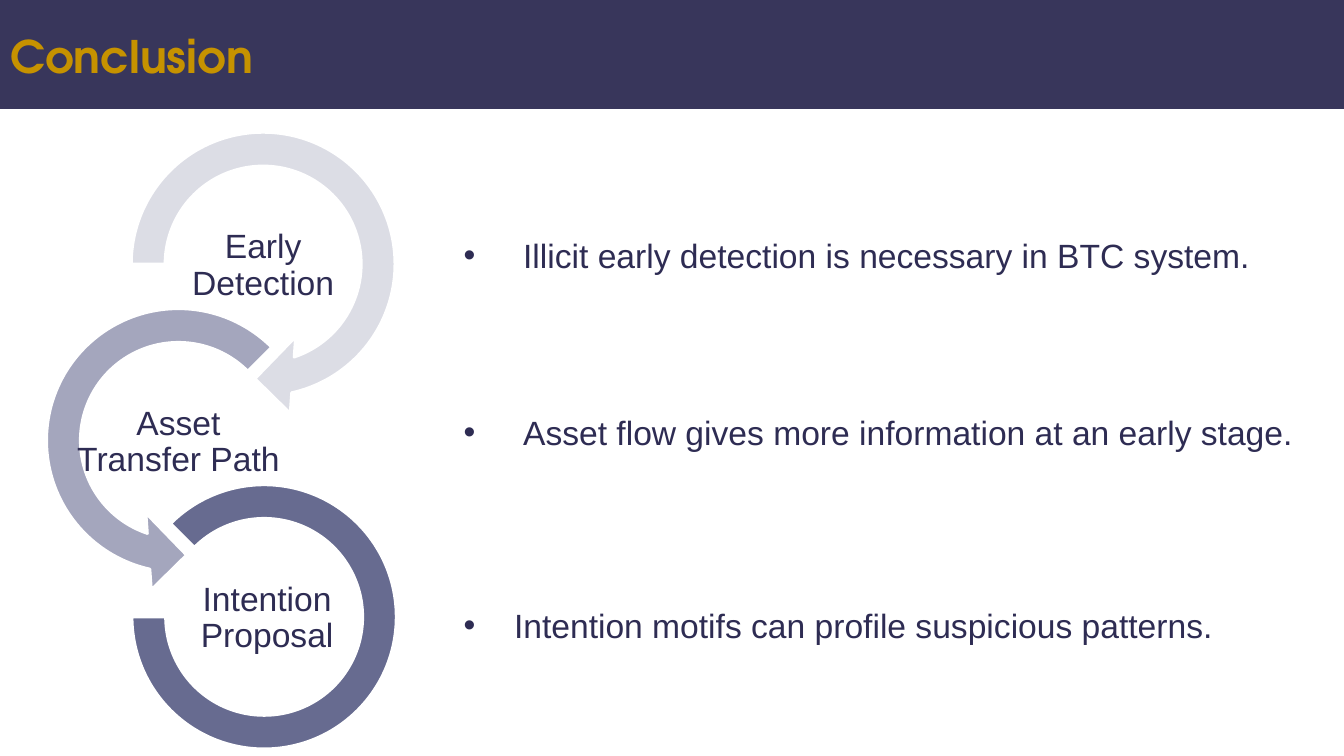
"""Build the Conclusion slide: three linked rings, each with a takeaway."""
from dataclasses import dataclass

from lxml.etree import SubElement
from pptx import Presentation
from pptx.dml.color import RGBColor
from pptx.enum.shapes import MSO_SHAPE
from pptx.enum.text import MSO_ANCHOR, MSO_AUTO_SIZE, PP_ALIGN
from pptx.oxml.ns import qn
from pptx.util import Inches, Pt


@dataclass(frozen=True)
class Theme:
    ink: RGBColor = RGBColor(0x2E, 0x2C, 0x53)
    ring: RGBColor = RGBColor(0x16, 0x1C, 0x56)
    gold: RGBColor = RGBColor(0xC6, 0x92, 0x00)
    white: RGBColor = RGBColor(0xFF, 0xFF, 0xFF)
    body_font: str = "Arial"
    title_font: str = "TeX Gyre Adventor"
    body_size: int = 24
    title_size: int = 32


THEME = Theme()
WIDTH, HEIGHT = 13.33, 7.5
HEADER_HEIGHT = 1.08
FIRST_CENTER, RING_PITCH = 2.62, 1.75
LABEL_HEIGHT, BULLET_LEFT, BULLET_HEIGHT = 0.85, 4.5, 0.5

TITLE = "Conclusion"
RINGS = [
    dict(shape=MSO_SHAPE.CIRCULAR_ARROW, center=2.61, size=3.04, opacity=15,
         adjust=(0.11, 11.423, 45, 108, 0.125),
         label=("Early", "Detection"), label_center=2.61, label_width=1.69),
    dict(shape=MSO_SHAPE.LEFT_CIRCULAR_ARROW, center=1.77, size=3.04, opacity=39,
         adjust=(0.11, 11.423, 63, 189, 0.125),
         label=("Asset", "Transfer Path"), label_center=1.77, label_width=2.13),
    dict(shape=MSO_SHAPE.BLOCK_ARC, center=2.62, size=2.62, opacity=65,
         adjust=(135, 108, 0.127),
         label=("Intention", "Proposal"), label_center=2.65, label_width=2.7),
]
BULLETS = [
    dict(text="Illicit early detection is necessary in BTC system.",
         top=2.28, width=8.08, indent=0.59),
    dict(text="Asset flow gives more information at an early stage.",
         top=4.04, width=8.49, indent=0.59),
    dict(text="Intention motifs can profile suspicious patterns.",
         top=5.95, width=7.71, indent=0.5),
]


def inches(*lengths):
    return [Inches(length) for length in lengths]


def style(paragraph, font_name, size, color, bold=False):
    font = paragraph.font
    font.name, font.size, font.bold = font_name, Pt(size), bold
    font.color.rgb = color


def paint(shape, color, opacity):
    shape.shadow.inherit = False
    shape.fill.solid()
    shape.fill.fore_color.rgb = color
    color_node = shape.fill._xPr.find(".//" + qn("a:srgbClr"))
    SubElement(color_node, qn("a:alpha"), val=str(opacity * 1000))


def add_header(slide):
    title = slide.shapes.title
    band = slide.shapes.add_shape(
        MSO_SHAPE.RECTANGLE, *inches(0, 0, WIDTH, HEADER_HEIGHT))
    paint(band, THEME.ink, 95)
    band.line.fill.background()
    title.element.addprevious(band.element)
    title.left, title.top, title.width, title.height = inches(0, 0.23, 8.42, 0.64)
    frame = title.text_frame
    frame.text = TITLE
    frame.vertical_anchor = MSO_ANCHOR.MIDDLE
    frame.auto_size = MSO_AUTO_SIZE.SHAPE_TO_FIT_TEXT
    frame.paragraphs[0].alignment = PP_ALIGN.LEFT
    style(frame.paragraphs[0], THEME.title_font, THEME.title_size, THEME.gold, True)


def add_ring(slide, ring, middle):
    size = ring["size"]
    arc = slide.shapes.add_shape(
        ring["shape"],
        *inches(ring["center"] - size / 2, middle - size / 2, size, size))
    for index, value in enumerate(ring["adjust"]):
        arc.adjustments[index] = value
    paint(arc, THEME.ring, ring["opacity"])
    arc.line.color.rgb = THEME.white
    arc.line.width = Pt(2)

    width = ring["label_width"]
    box = slide.shapes.add_textbox(
        *inches(ring["label_center"] - width / 2, middle - LABEL_HEIGHT / 2 + 0.02,
                width, LABEL_HEIGHT))
    frame = box.text_frame
    frame.word_wrap = True
    frame.vertical_anchor = MSO_ANCHOR.MIDDLE
    frame.margin_left = frame.margin_right = Inches(0.02)
    frame.margin_top = frame.margin_bottom = Inches(0.02)
    frame.text = "\n".join(ring["label"])
    for paragraph in frame.paragraphs:
        paragraph.alignment = PP_ALIGN.CENTER
        paragraph.line_spacing = 0.9
        style(paragraph, THEME.body_font, THEME.body_size, THEME.ink)


def add_bullet(slide, bullet):
    box = slide.shapes.add_textbox(
        *inches(BULLET_LEFT, bullet["top"], bullet["width"], BULLET_HEIGHT))
    frame = box.text_frame
    frame.word_wrap = False
    frame.auto_size = MSO_AUTO_SIZE.SHAPE_TO_FIT_TEXT
    frame.text = bullet["text"]
    paragraph = frame.paragraphs[0]
    properties = paragraph._p.get_or_add_pPr()
    indent = Inches(bullet["indent"])
    properties.set("marL", str(indent))
    properties.set("indent", str(-indent))
    SubElement(properties, qn("a:buFont"), typeface=THEME.body_font)
    SubElement(properties, qn("a:buChar"), char="•")
    style(paragraph, THEME.body_font, THEME.body_size, THEME.ink)


def main():
    deck = Presentation()
    deck.slide_width, deck.slide_height = inches(WIDTH, HEIGHT)
    slide = deck.slides.add_slide(deck.slide_layouts.get_by_name("Title Only"))
    add_header(slide)
    for row, ring in enumerate(RINGS):
        add_ring(slide, ring, FIRST_CENTER + row * RING_PITCH)
    for bullet in BULLETS:
        add_bullet(slide, bullet)
    deck.save("out.pptx")


if __name__ == "__main__":
    main()
